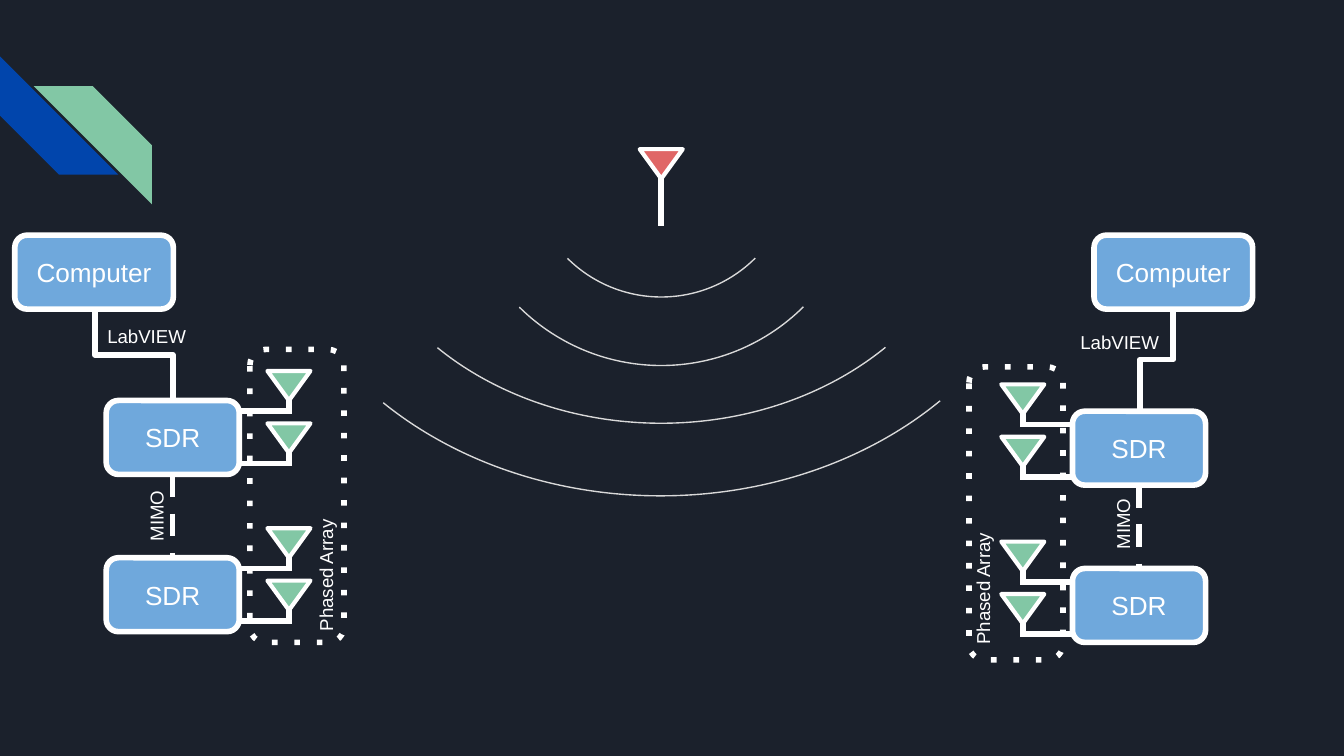
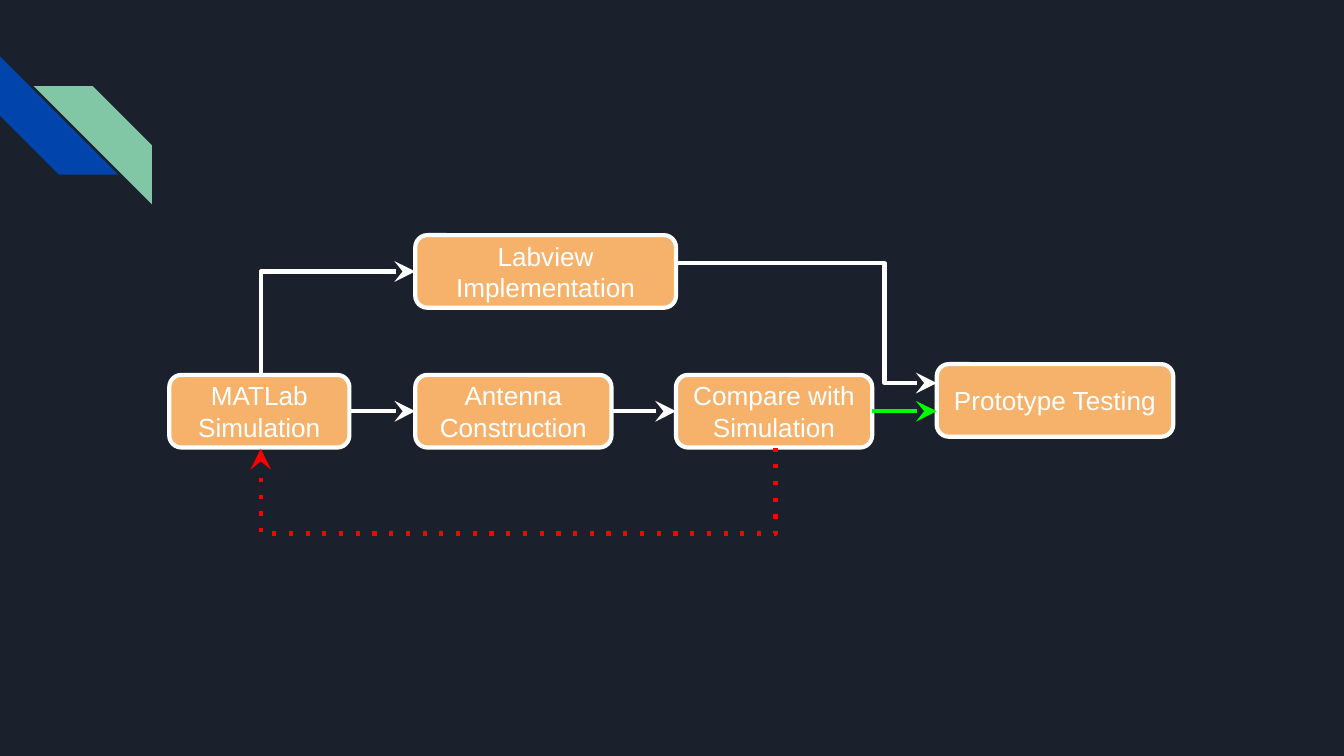
from dataclasses import dataclass
from typing import Optional

from lxml import etree
from pptx import Presentation
from pptx.dml.color import RGBColor
from pptx.enum.shapes import MSO_CONNECTOR, MSO_SHAPE
from pptx.enum.text import MSO_ANCHOR, PP_ALIGN
from pptx.oxml.ns import qn
from pptx.util import Inches, Pt

NAVY = RGBColor(0x1B, 0x21, 0x2C)
ROYAL = RGBColor(0x01, 0x45, 0xAC)
MINT = RGBColor(0x82, 0xC7, 0xA5)
SKY = RGBColor(0x6F, 0xA8, 0xDC)
CORAL = RGBColor(0xE0, 0x66, 0x66)
ORANGE = RGBColor(0xF6, 0xB2, 0x6B)
SILVER = RGBColor(0xD9, 0xD9, 0xD9)
WHITE = RGBColor(0xFF, 0xFF, 0xFF)
RED = RGBColor(0xFF, 0x00, 0x00)
GREEN = RGBColor(0x00, 0xFF, 0x00)

ROUND_RECT = MSO_SHAPE.ROUNDED_RECTANGLE
TRIANGLE = MSO_SHAPE.ISOSCELES_TRIANGLE
STRIPE = MSO_SHAPE.DIAGONAL_STRIPE
ARC = MSO_SHAPE.ARC
STRAIGHT = MSO_CONNECTOR.STRAIGHT
ELBOW = MSO_CONNECTOR.ELBOW
MIDDLE = MSO_ANCHOR.MIDDLE
TOP = MSO_ANCHOR.TOP
CENTER = PP_ALIGN.CENTER
LEFT = PP_ALIGN.LEFT
TOP_SIDE, LEFT_SIDE, BOTTOM_SIDE, RIGHT_SIDE = range(4)

FONT = "Arial"
MARGIN = Inches(0.1)
FRAME_FORMAT = {
    "word_wrap": True,
    "margin_left": MARGIN,
    "margin_right": MARGIN,
    "margin_top": MARGIN,
    "margin_bottom": MARGIN,
}


@dataclass
class Box:
    x: float
    y: float
    w: float
    h: float


@dataclass
class Stroke:
    color: RGBColor = WHITE
    width: float = 3
    dash: str = ""
    head: str = ""
    tail: str = ""


@dataclass
class Route:
    x1: float
    y1: float
    x2: float
    y2: float
    rotation: int = 0
    bend: Optional[float] = None


@dataclass
class Label:
    text: str
    box: Box
    rotation: int = 0


@dataclass
class Station:
    sdr_x: float
    sdr_y: float
    antenna_x: float
    antenna_dy: float
    arm_start: float
    arm_end: float
    computer_x: float
    cable: Route
    array: Box
    labels: list[Label]


@dataclass
class Step:
    text: str
    box: Box


THICK = Stroke()
OUTLINE = Stroke(width=2.25)
ARROW = Stroke(width=2.25, tail="stealth")

STATIONS = [
    Station(7.98, 3.06, 7.45, -0.2, 7.59, 7.98, 8.14,
            Route(8.22, 2.55, 8.99, 2.8, 90, 0.5), Box(7.21, 2.73, 0.7, 2.18),
            [Label("MIMO", Box(8.04, 3.53, 0.8, 0.51), 270),
             Label("LabVIEW", Box(7.94, 2.38, 0.89, 0.51)),
             Label("Phased Array", Box(6.77, 4.01, 1.26, 0.51), 270)]),
    Station(0.79, 2.98, 1.99, -0.22, 2.17, 1.78, 0.11,
            Route(1.34, 2.35, 0.65, 2.93, 270, 0.5), Box(1.86, 2.6, 0.7, 2.18),
            [Label("MIMO", Box(0.85, 3.47, 0.8, 0.51), 270),
             Label("LabVIEW", Box(0.7, 2.33, 0.89, 0.51)),
             Label("Phased Array", Box(1.88, 3.91, 1.26, 0.51), 270)]),
]
SDR_PITCH = 1.17
ANTENNA_PITCH = 0.39

WAVES = [
    (Box(3.93, 0.23, 1.98, 1.98), (27.01, 80.89)),
    (Box(3.42, -0.28, 3, 3), (27.09, 80.83)),
    (Box(2.56, -0.71, 4.72, 3.86), (23.57, 84.36)),
    (Box(1.98, -1.11, 5.87, 4.8), (23.48, 84.24)),
]

STEPS = [
    Step("MATLab Simulation", Box(1.26, 2.79, 1.34, 0.54)),
    Step("Antenna Construction", Box(3.09, 2.79, 1.46, 0.54)),
    Step("Compare with Simulation", Box(5.03, 2.79, 1.46, 0.54)),
    Step("Labview Implementation", Box(3.09, 1.75, 1.94, 0.54)),
    Step("Prototype Testing", Box(6.97, 2.71, 1.76, 0.54)),
]

BENT_ARROWS = [
    (Route(3.85, 1.42, 3.86, 5.25, 90, 65),
     Stroke(RED, 2.25, dash="dot", tail="stealth")),
    (Route(3.09, 2.02, 1.93, 2.79, 0, 0.99), Stroke(width=2.25, head="stealth")),
    (Route(5.03, 1.96, 6.97, 2.85, 0, 0.8), ARROW),
]


def apply_stroke(sp, stroke: Stroke) -> None:
    sp.line.color.rgb = stroke.color
    sp.line.width = Pt(stroke.width)
    ln = sp.element.spPr.find(qn("a:ln"))
    if stroke.dash:
        etree.SubElement(ln, qn("a:prstDash")).set("val", stroke.dash)
    for tag, end in (("a:headEnd", stroke.head), ("a:tailEnd", stroke.tail)):
        if end:
            tip = etree.SubElement(ln, qn(tag))
            for name, value in {"type": end, "w": "lg", "len": "lg"}.items():
                tip.set(name, value)


def write_text(sp, text: str, size: int, anchor=MIDDLE, align=CENTER) -> None:
    tf = sp.text_frame
    for name, value in {**FRAME_FORMAT, "vertical_anchor": anchor}.items():
        setattr(tf, name, value)
    p = tf.paragraphs[0]
    p.alignment = align
    r = p.add_run()
    r.text = text
    for name, value in {"name": FONT, "size": Pt(size)}.items():
        setattr(r.font, name, value)
    r.font.color.rgb = WHITE


def add_shape(s, kind, box: Box, fill: Optional[RGBColor] = None,
              stroke: Optional[Stroke] = None, rotation: int = 0):
    sp = s.shapes.add_shape(kind, Inches(box.x), Inches(box.y),
                            Inches(box.w), Inches(box.h))
    sp.shadow.inherit = False
    sp.rotation = rotation
    if fill is None:
        sp.fill.background()
    else:
        sp.fill.solid()
        sp.fill.fore_color.rgb = fill
    if stroke is None:
        sp.line.fill.background()
    else:
        apply_stroke(sp, stroke)
    return sp


def add_node(s, text: str, box: Box, fill: RGBColor, stroke: Stroke):
    sp = add_shape(s, ROUND_RECT, box, fill, stroke)
    write_text(sp, text, 14)
    return sp


def add_label(s, label: Label) -> None:
    b = label.box
    sp = s.shapes.add_textbox(Inches(b.x), Inches(b.y), Inches(b.w), Inches(b.h))
    sp.rotation = label.rotation
    write_text(sp, label.text, 10, TOP, LEFT)


def add_line(s, route: Route, stroke: Stroke):
    kind = STRAIGHT if route.bend is None else ELBOW
    c = s.shapes.add_connector(kind, Inches(route.x1), Inches(route.y1),
                               Inches(route.x2), Inches(route.y2))
    apply_stroke(c, stroke)
    spPr = c.element.spPr
    etree.SubElement(spPr, qn("a:effectLst"))
    if route.rotation:
        spPr.find(qn("a:xfrm")).set("rot", str(route.rotation * 60000))
    if route.bend is not None:
        gd = etree.SubElement(spPr.find(qn("a:prstGeom")).find(qn("a:avLst")), qn("a:gd"))
        gd.set("name", "adj1")
        gd.set("fmla", f"val {round(route.bend * 100000)}")
    return c


def add_antenna(s, x: float, y: float, fill: RGBColor, stem: float) -> None:
    add_shape(s, TRIANGLE, Box(x, y, 0.32, 0.22), fill, OUTLINE, 180)
    add_line(s, Route(x + 0.16, y + 0.21, x + 0.16, y + 0.21 + stem), THICK)


def add_station(s, st: Station) -> None:
    sdrs = []
    for i in range(2):
        y = st.sdr_y + i * SDR_PITCH
        sdrs.append(add_node(s, "SDR", Box(st.sdr_x, y, 0.99, 0.55), SKY, THICK))
        for j in range(2):
            top = y + st.antenna_dy + j * ANTENNA_PITCH
            add_antenna(s, st.antenna_x, top, MINT, 0.09)
            add_line(s, Route(st.arm_start, top + 0.3, st.arm_end, top + 0.3), THICK)
    mid = st.sdr_x + 0.5
    link = add_line(s, Route(mid, st.sdr_y + 0.55, mid, st.sdr_y + SDR_PITCH),
                    Stroke(dash="dash"))
    link.begin_connect(sdrs[0], BOTTOM_SIDE)
    link.end_connect(sdrs[1], TOP_SIDE)
    add_node(s, "Computer", Box(st.computer_x, 1.75, 1.18, 0.55), SKY, THICK)
    add_line(s, st.cable, THICK)
    add_shape(s, ROUND_RECT, st.array, stroke=Stroke(dash="dot"))
    for label in st.labels:
        add_label(s, label)


def new_slide(prs):
    s = prs.slides.add_slide(prs.slide_layouts[6])
    add_shape(s, STRIPE, Box(0, 0.42, 0.88, 0.88), ROYAL, rotation=270)
    sp = add_shape(s, STRIPE, Box(0.25, 0.64, 0.88, 0.88), MINT)
    sp.element.spPr.find(qn("a:xfrm")).set("flipH", "1")
    return s


def build_system(prs) -> None:
    s = new_slide(prs)
    for st in STATIONS:
        add_station(s, st)
    add_antenna(s, 4.76, 1.11, CORAL, 0.36)
    for box, angles in WAVES:
        sp = add_shape(s, ARC, box, stroke=Stroke(SILVER, 0.75))
        for i, angle in enumerate(angles):
            sp.adjustments[i] = angle


def build_workflow(prs) -> None:
    s = new_slide(prs)
    nodes = [add_node(s, step.text, step.box, ORANGE, OUTLINE) for step in STEPS]
    simulate, construct, compare = nodes[:3]
    for start, end, x1, x2 in ((simulate, construct, 2.6, 3.09),
                               (construct, compare, 4.55, 5.03)):
        c = add_line(s, Route(x1, 3.06, x2, 3.06), ARROW)
        c.begin_connect(start, RIGHT_SIDE)
        c.end_connect(end, LEFT_SIDE)
    c = add_line(s, Route(6.49, 3.06, 6.97, 3.06), Stroke(GREEN, 2.25, tail="stealth"))
    c.begin_connect(compare, RIGHT_SIDE)
    for route, stroke in BENT_ARROWS:
        add_line(s, route, stroke)


def main() -> None:
    prs = Presentation()
    prs.slide_width = Inches(10)
    prs.slide_height = prs.slide_width * 9 // 16
    fill = prs.slide_master.background.fill
    fill.solid()
    fill.fore_color.rgb = NAVY
    build_system(prs)
    build_workflow(prs)
    prs.save("out.pptx")


if __name__ == "__main__":
    main()
